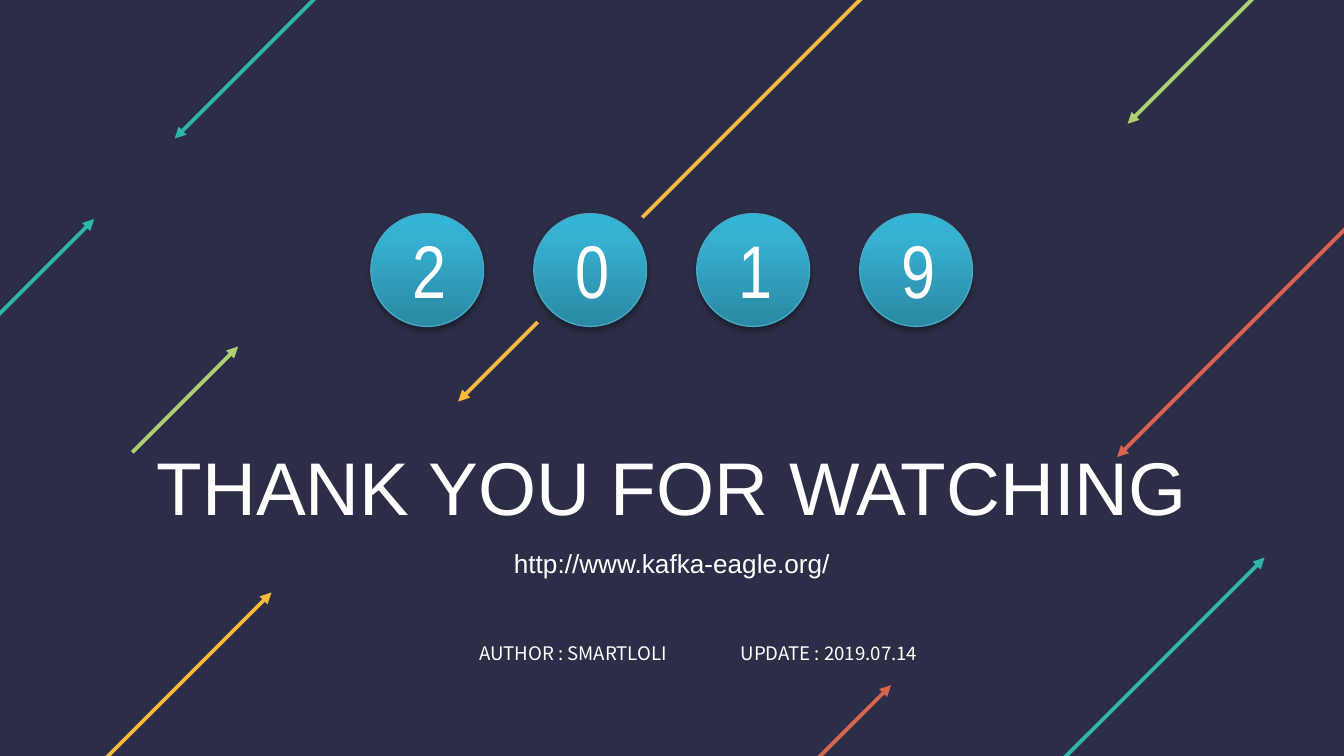
"""Build the closing slide: year discs, diagonal arrows, thanks and credits."""
from copy import deepcopy
from dataclasses import dataclass

from lxml import etree
from pptx import Presentation
from pptx import util as u
from pptx.dml.color import RGBColor
from pptx.enum import shapes, text
from pptx.oxml.ns import qn
from pptx.slide import Slide

NAVY = RGBColor(0x2C, 0x2E, 0x47)
WHITE = RGBColor(0xFF, 0xFF, 0xFF)
YELLOW = RGBColor(0xF7, 0xBA, 0x3B)
TEAL = RGBColor(0x2F, 0xB6, 0xA8)
GREEN = RGBColor(0xAD, 0xD0, 0x72)
RED = RGBColor(0xDA, 0x63, 0x4F)
DISC_LINE = RGBColor(0x46, 0xAA, 0xC5)
DISC_STOPS = (
    (0, RGBColor(0x2A, 0x88, 0xA2)),
    (0.8, RGBColor(0x37, 0xB1, 0xD2)),
    (1, RGBColor(0x34, 0xB4, 0xD6)),
)

DISC_LEFT, DISC_TOP, DISC_SIZE, DISC_PITCH = 7.01, 4.04, 2.13, 3.08
HALO_MARGIN = 0.33


@dataclass(frozen=True)
class Arrow:
    """A 45-degree arrow; reach runs up and right from tip to tail."""

    x: float
    y: float
    reach: float
    color: RGBColor


@dataclass(frozen=True)
class Label:
    """A line of white text and its box."""

    words: str
    left: float
    top: float
    width: float
    height: float
    size: float
    font: str
    align: text.PP_ALIGN = text.PP_ALIGN.CENTER
    tight: bool = True


@dataclass(frozen=True)
class Disc:
    """A year digit in its column, with or without a halo."""

    digit: str
    column: int
    halo: bool = True


RISING_BAR = Arrow(8.66, 7.59, 8.07, YELLOW)
ARROWS = (
    Arrow(1.78, 4.14, -2.68, TEAL),
    Arrow(21.31, 2.34, 3, GREEN),
    Arrow(5.13, 11.2, -4.8, YELLOW),
    Arrow(21.11, 8.64, 5.49, RED),
    Arrow(23.9, 10.54, -4.6, TEAL),
    Arrow(16.84, 12.95, -2.13, RED),
    Arrow(3.3, 2.62, 4.27, TEAL),
    Arrow(4.5, 6.55, -2, GREEN),
)
DISCS = (Disc("1", 2, False), Disc("2", 0), Disc("0", 1), Disc("9", 3))
LABELS = (
    Label("THANK YOU FOR WATCHING", 2.87, 8.33, 19.66, 1.7, 40, "Arial"),
    Label("http://www.kafka-eagle.org/", 9.7, 10.34, 6, 0.61, 14, "Arial"),
    Label("AUTHOR : SMARTLOLI", 8.79, 12.14, 3.81, 0.86, 10,
          "Noto Sans CJK SC", text.PP_ALIGN.RIGHT),
    Label("UPDATE : 2019.07.14", 14, 12.14, 3.56, 0.43, 10,
          "Noto Sans CJK SC", text.PP_ALIGN.LEFT),
)


def add_arrow(s: Slide, arrow: Arrow) -> None:
    """Draw an arrow from its tail to its tip."""
    sp = s.shapes.add_connector(
        shapes.MSO_CONNECTOR.STRAIGHT,
        u.Cm(arrow.x + arrow.reach), u.Cm(arrow.y - arrow.reach),
        u.Cm(arrow.x), u.Cm(arrow.y))
    sp.line.color.rgb = arrow.color
    sp.line.width = u.Pt(2)
    etree.SubElement(sp.line._get_or_add_ln(), qn("a:tailEnd"), type="triangle")
    etree.SubElement(sp._element.spPr, qn("a:effectLst"))


def add_circle(s: Slide, left: float, top: float, size: float):
    """Add a shadowless circle."""
    sp = s.shapes.add_shape(
        shapes.MSO_SHAPE.OVAL, u.Cm(left), u.Cm(top), u.Cm(size), u.Cm(size))
    sp.shadow.inherit = False
    return sp


def add_disc(s: Slide, disc: Disc) -> None:
    """Draw a gradient disc over its halo."""
    left = DISC_LEFT + disc.column * DISC_PITCH
    if disc.halo:
        halo = add_circle(s, left - HALO_MARGIN, DISC_TOP - HALO_MARGIN,
                          DISC_SIZE + 2 * HALO_MARGIN)
        halo.fill.solid()
        halo.fill.fore_color.rgb = NAVY
        halo.line.fill.background()
    sp = add_circle(s, left, DISC_TOP, DISC_SIZE)
    sp.line.color.rgb = DISC_LINE
    sp.line.width = u.Pt(0.75)
    sp.fill.gradient()
    sp.fill.gradient_angle = 90
    stops = sp._element.spPr.find(".//" + qn("a:gsLst"))
    stops.append(deepcopy(stops[-1]))
    for stop, (position, color) in zip(sp.fill.gradient_stops, DISC_STOPS):
        stop.position = position
        stop.color.rgb = color
    effects = sp._element.spPr.find(qn("a:effectLst"))
    shadow = etree.SubElement(
        effects, qn("a:outerShdw"), blurRad=str(u.Pt(3.1)),
        dist=str(u.Pt(1.8)), dir="5400000", rotWithShape="0")
    color = etree.SubElement(shadow, qn("a:srgbClr"), val="000000")
    etree.SubElement(color, qn("a:alpha"), val="35000")


def add_label(s: Slide, label: Label) -> None:
    """Draw a text label."""
    sp = s.shapes.add_textbox(u.Cm(label.left), u.Cm(label.top),
                              u.Cm(label.width), u.Cm(label.height))
    tf = sp.text_frame
    frame = {"word_wrap": not label.tight,
             "auto_size": text.MSO_AUTO_SIZE.SHAPE_TO_FIT_TEXT}
    if label.tight:
        frame |= {f"margin_{side}": 0
                  for side in ("left", "top", "right", "bottom")}
    for name, value in frame.items():
        setattr(tf, name, value)
    p = tf.paragraphs[0]
    p.alignment = label.align
    r = p.add_run()
    r.text = label.words
    for name, value in {"size": u.Pt(label.size), "name": label.font}.items():
        setattr(r.font, name, value)
    r.font.color.rgb = WHITE


def main() -> None:
    """Build and save the slide."""
    prs = Presentation()
    prs.slide_width, prs.slide_height = u.Cm(25.4), u.Cm(14.29)
    s = prs.slides.add_slide(prs.slide_layouts[6])
    s.background.fill.solid()
    s.background.fill.fore_color.rgb = NAVY
    add_arrow(s, RISING_BAR)
    for disc in DISCS:
        add_disc(s, disc)
    for disc in DISCS:
        left = DISC_LEFT + disc.column * DISC_PITCH + 0.53
        add_label(s, Label(disc.digit, left, 4.11, 1.07, 1.96, 40,
                           "Arial Narrow", tight=False))
    for arrow in ARROWS:
        add_arrow(s, arrow)
    for label in LABELS:
        add_label(s, label)
    prs.save("out.pptx")


if __name__ == "__main__":
    main()
